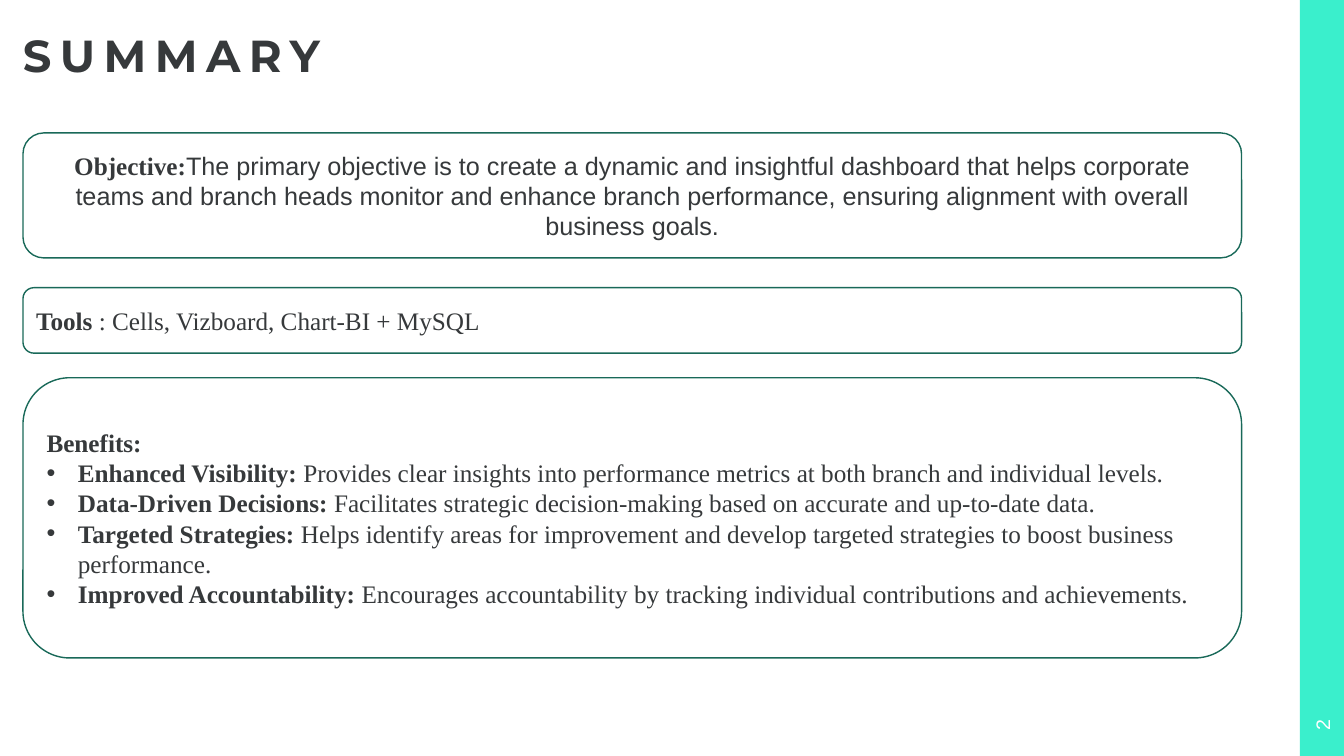
from dataclasses import dataclass

import lxml.etree
import pptx
import pptx.dml.color
import pptx.enum.shapes
import pptx.enum.text
import pptx.oxml.ns
import pptx.shapes.autoshape
import pptx.slide
import pptx.text.text
import pptx.util

Cm = pptx.util.Cm
Pt = pptx.util.Pt
ALIGN = pptx.enum.text.PP_ALIGN
ANCHOR = pptx.enum.text.MSO_ANCHOR
SHAPE = pptx.enum.shapes.MSO_SHAPE

INK, MINT, PINE, WHITE = "36393B", "3AEFCC", "196959", "FFFFFF"
SERIF, SANS = "Times New Roman", "Arial"
MARGIN, PANEL_WIDTH, BULLET_INDENT = 0.58, 30.71, 0.79


@dataclass
class Line:
    heading: str
    body: str = ""
    body_font: str = SERIF
    align: ALIGN = ALIGN.LEFT
    bulleted: bool = False


@dataclass
class Panel:
    top: float
    height: float
    outline: SHAPE
    lines: list[Line]


PANELS = [
    Panel(3.35, 3.15, SHAPE.ROUNDED_RECTANGLE, [
        Line("Objective:",
             "The primary objective is to create a dynamic and insightful dashboard that helps "
             "corporate teams and branch heads monitor and enhance branch performance, ensuring "
             "alignment with overall business goals.", SANS, ALIGN.CENTER),
    ]),
    Panel(7.25, 1.65, SHAPE.ROUNDED_RECTANGLE, [
        Line("Tools ", ": Cells, Vizboard, Chart-BI + MySQL"),
    ]),
    Panel(9.52, 7.06, SHAPE.FLOWCHART_ALTERNATE_PROCESS, [
        Line("Benefits:"),
        Line("Enhanced Visibility:",
             " Provides clear insights into performance metrics at both branch and individual "
             "levels.", bulleted=True),
        Line("Data-Driven Decisions:",
             " Facilitates strategic decision-making based on accurate and up-to-date data.",
             bulleted=True),
        Line("Targeted Strategies:",
             " Helps identify areas for improvement and develop targeted strategies to boost "
             "business performance.", bulleted=True),
        Line("Improved Accountability:",
             " Encourages accountability by tracking individual contributions and achievements.",
             bulleted=True),
    ]),
]


def color(value: str) -> pptx.dml.color.RGBColor:
    return pptx.dml.color.RGBColor.from_string(value)


def style(run: pptx.text.text._Run, font: str, size: float, ink: str, bold: bool = False) -> None:
    run.font.name = font
    run.font.size = Pt(size)
    run.font.bold = bold
    run.font.color.rgb = color(ink)


def add_bullet(paragraph: pptx.text.text._Paragraph) -> None:
    properties = paragraph._p.get_or_add_pPr()
    properties.set("marL", str(Cm(BULLET_INDENT)))
    properties.set("indent", str(-Cm(BULLET_INDENT)))
    for tag, attribute, value in (("a:buFont", "typeface", SANS), ("a:buChar", "char", "•")):
        element = lxml.etree.SubElement(properties, pptx.oxml.ns.qn(tag))
        element.set(attribute, value)


def write_line(paragraph: pptx.text.text._Paragraph, line: Line) -> None:
    if line.bulleted:
        add_bullet(paragraph)
    paragraph.alignment = line.align
    for text, font, bold in ((line.heading, SERIF, True), (line.body, line.body_font, False)):
        if text:
            run = paragraph.add_run()
            run.text = text
            style(run, font, 18, INK, bold)


def draw_panel(slide: pptx.slide.Slide, panel: Panel) -> None:
    frame = slide.shapes.add_shape(
        panel.outline, Cm(MARGIN), Cm(panel.top), Cm(PANEL_WIDTH), Cm(panel.height))
    frame.shadow.inherit = False
    frame.fill.background()
    frame.line.color.rgb = color(PINE)
    frame.line.width = Pt(1)
    content = frame.text_frame
    content.word_wrap = True
    content.vertical_anchor = ANCHOR.MIDDLE
    for index, line in enumerate(panel.lines):
        write_line(content.add_paragraph() if index else content.paragraphs[0], line)


def draw_sidebar(slide: pptx.slide.Slide) -> None:
    sidebar = slide.shapes.add_shape(SHAPE.RECTANGLE, Cm(32.76), 0, Cm(1.11), Cm(19.05))
    sidebar.shadow.inherit = False
    sidebar.fill.solid()
    sidebar.fill.fore_color.rgb = color(MINT)
    sidebar.line.fill.background()

    page_number = slide.shapes.add_textbox(Cm(32.54), Cm(17.73), Cm(1.57), Cm(1.07))
    page_number.rotation = 270
    page_number.text_frame.word_wrap = True
    page_number.text_frame.vertical_anchor = ANCHOR.MIDDLE
    paragraph = page_number.text_frame.paragraphs[0]
    paragraph.text = "2"
    paragraph.alignment = ALIGN.CENTER
    paragraph.space_after = Pt(6)
    style(paragraph.runs[0], SANS, 14, WHITE)


def draw_title(slide: pptx.slide.Slide) -> None:
    title = slide.shapes.add_textbox(Cm(MARGIN), 0, Cm(13.97), Cm(2.08)).text_frame
    title.word_wrap = True
    title.vertical_anchor = ANCHOR.BOTTOM
    title.margin_left = title.margin_right = title.margin_top = title.margin_bottom = 0
    paragraph = title.paragraphs[0]
    paragraph.text = "SUMMARY"
    paragraph.line_spacing = 0.9
    style(paragraph.runs[0], "Montserrat", 32, INK, True)
    paragraph.runs[0].font._element.set("spc", "600")


def main() -> None:
    deck = pptx.Presentation()
    deck.slide_width, deck.slide_height = Cm(33.87), Cm(19.05)
    slide = deck.slides.add_slide(deck.slide_layouts[6])
    draw_sidebar(slide)
    draw_title(slide)
    for panel in PANELS:
        draw_panel(slide, panel)
    deck.save("out.pptx")


if __name__ == "__main__":
    main()
